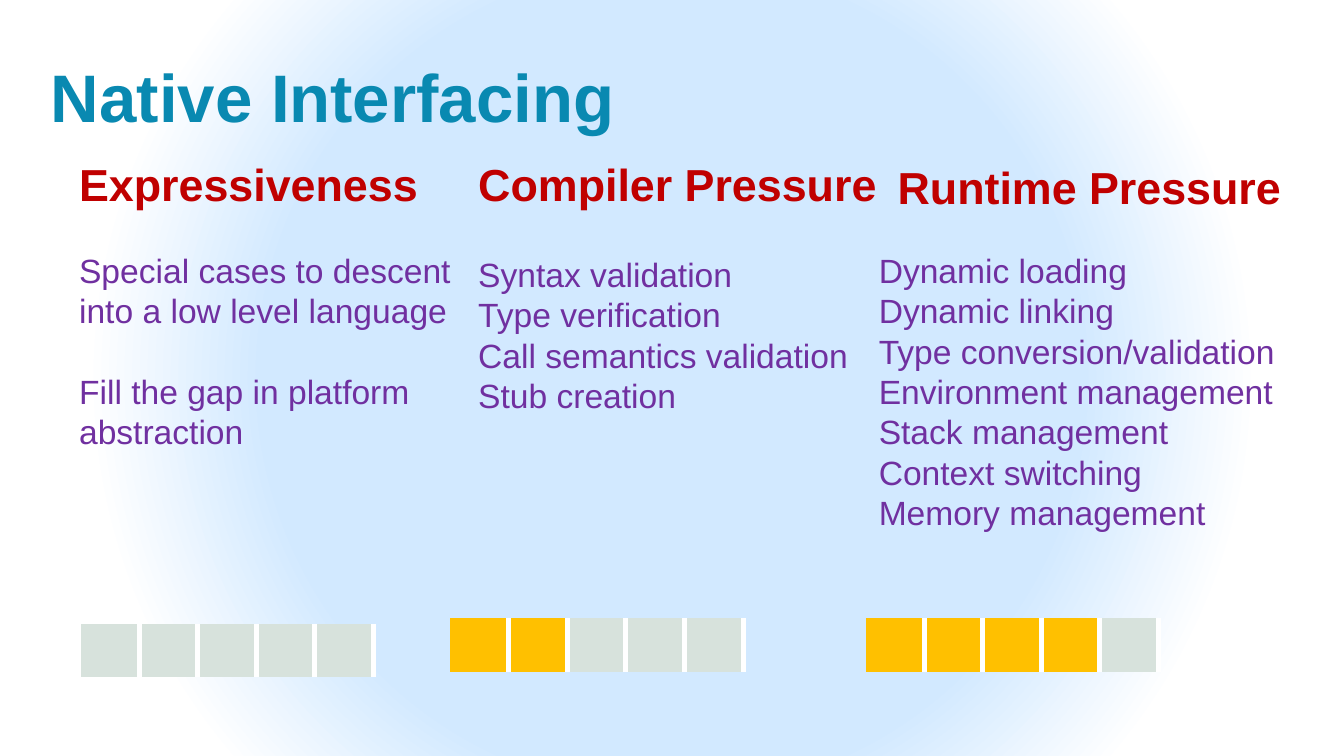
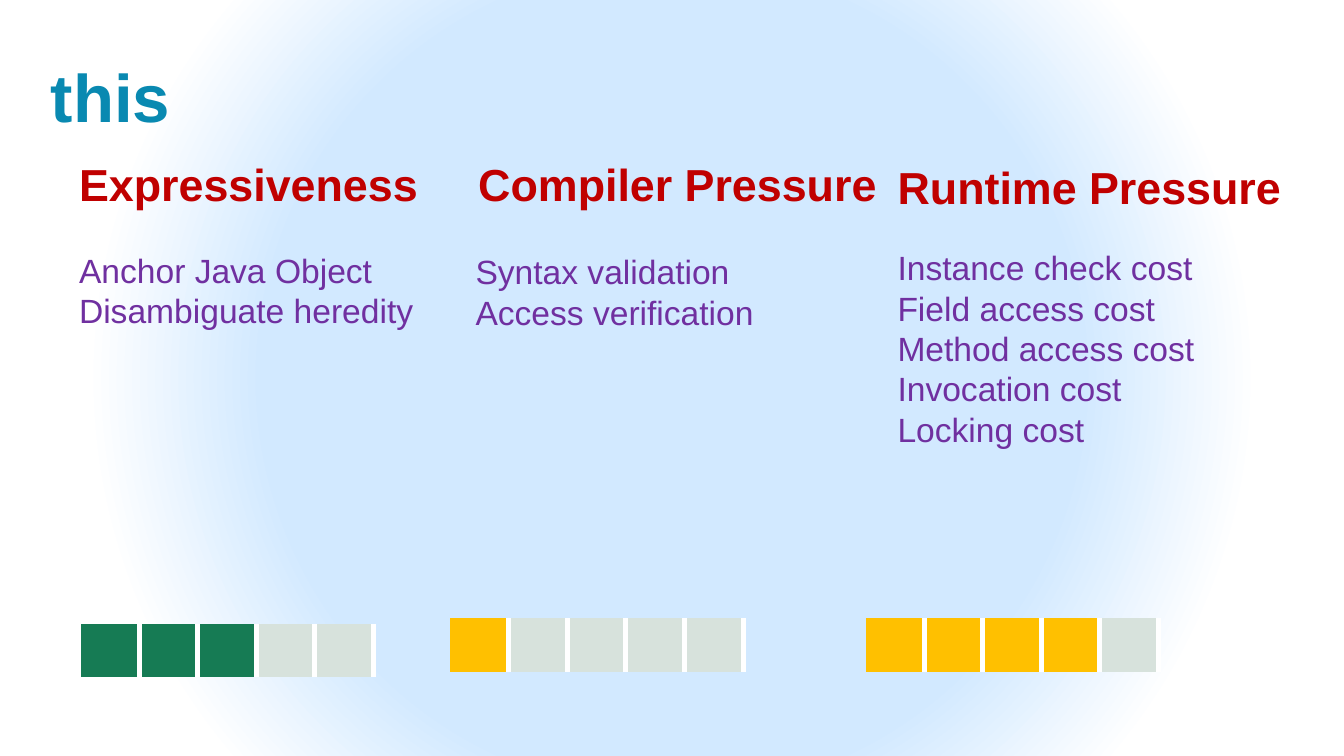
import dataclasses

import lxml.etree
import pptx
import pptx.dml.color
import pptx.enum.text
import pptx.oxml.ns
import pptx.presentation
import pptx.slide
import pptx.table
import pptx.util

Inches = pptx.util.Inches
Pt = pptx.util.Pt
qn = pptx.oxml.ns.qn


@dataclasses.dataclass(frozen=True)
class TextStyle:
    size: float
    color: str
    bold: bool = False


@dataclasses.dataclass(frozen=True)
class Theme:
    font: str = "Arial"
    leading: float = 1.2
    title: TextStyle = TextStyle(36, "0989B1", True)
    heading: TextStyle = TextStyle(24, "C00000", True)
    body: TextStyle = TextStyle(18, "7030A0")
    glow: str = "D2E9FF"
    white: str = "FFFFFF"
    empty: str = "D7E2DC"
    amber: str = "FFC000"
    green: str = "167B54"
    divider: float = 3


THEME = Theme()


@dataclasses.dataclass(frozen=True)
class Box:
    left: float
    top: float
    width: float
    height: float


@dataclasses.dataclass(frozen=True)
class Column:
    """What stays the same for one criterion on every slide."""
    heading: str
    heading_box: Box
    meter_left: float
    meter_top: float
    meter_color: str


@dataclasses.dataclass(frozen=True)
class Rating:
    lines: tuple[str, ...]
    box: Box
    score: int
    gap_before: tuple[int, ...] = ()


@dataclasses.dataclass(frozen=True)
class Feature:
    title: str
    title_width: float
    ratings: tuple[Rating, ...]


SLIDE_WIDTH = 10
SLIDE_HEIGHT = SLIDE_WIDTH * 9 / 16
METER_STEPS = 5
METER_WIDTH = 2.18
METER_HEIGHT = 0.4

COLUMNS = (
    Column("Expressiveness", Box(0.49, 1.12, 2.98, 0.5), 0.6, 4.64, THEME.green),
    Column("Compiler Pressure", Box(3.46, 1.12, 3.21, 0.5), 3.35, 4.6, THEME.amber),
    Column("Runtime Pressure", Box(6.58, 1.14, 3.21, 0.5), 6.44, 4.6, THEME.amber),
)

FEATURES = (
    Feature("Native Interfacing", 4.54, (
        Rating(("Special cases to descent into a low level language",
                "Fill the gap in platform abstraction"),
               Box(0.49, 1.81, 3.02, 1.62), 0, gap_before=(1,)),
        Rating(("Syntax validation", "Type verification",
                "Call semantics validation", "Stub creation"),
               Box(3.46, 1.84, 2.98, 1.31), 2),
        Rating(("Dynamic loading", "Dynamic linking", "Type conversion/validation",
                "Environment management", "Stack management",
                "Context switching", "Memory management"),
               Box(6.44, 1.81, 3.35, 2.22), 4),
    )),
    Feature("this", 1.25, (
        Rating(("Anchor Java Object", "Disambiguate heredity"),
               Box(0.49, 1.81, 3.24, 0.71), 3),
        Rating(("Syntax validation", "Access verification"),
               Box(3.44, 1.82, 2.9, 0.71), 1),
        Rating(("Instance check cost", "Field access cost", "Method access cost",
                "Invocation cost", "Locking cost"),
               Box(6.58, 1.79, 3.16, 1.62), 4),
    )),
)


def rgb(color: str) -> pptx.dml.color.RGBColor:
    return pptx.dml.color.RGBColor.from_string(color)


def add_color(parent: lxml.etree._Element, color: str) -> None:
    lxml.etree.SubElement(parent, qn("a:srgbClr"), val=color)


def paint_background(s: pptx.slide.Slide) -> None:
    """Fill the slide with a round glow that fades to white."""
    s.background.fill.gradient()
    grad = s.element.find(".//" + qn("a:gradFill"))
    for child in list(grad):
        grad.remove(child)
    stops = lxml.etree.SubElement(grad, qn("a:gsLst"))
    for percent, color in ((53, THEME.glow), (76, THEME.white), (100, THEME.white)):
        stop = lxml.etree.SubElement(stops, qn("a:gs"), pos=str(percent * 1000))
        add_color(stop, color)
    circle = lxml.etree.SubElement(grad, qn("a:path"), attrib={"path": "circle"})
    lxml.etree.SubElement(circle, qn("a:fillToRect"),
                          attrib={side: "50000" for side in "ltrb"})


def add_text(s: pptx.slide.Slide, box: Box, lines: tuple[str, ...],
             style: TextStyle, gap_before: tuple[int, ...] = ()) -> None:
    """Write one paragraph per line; gap_before lists those set off by a line."""
    sp = s.shapes.add_textbox(Inches(box.left), Inches(box.top),
                              Inches(box.width), Inches(box.height))
    tf = sp.text_frame
    tf.word_wrap = True
    tf.auto_size = pptx.enum.text.MSO_AUTO_SIZE.SHAPE_TO_FIT_TEXT
    leading = Pt(style.size * THEME.leading)
    for i, line in enumerate(lines):
        p = tf.add_paragraph() if i else tf.paragraphs[0]
        p.line_spacing = leading
        if i in gap_before:
            p.space_before = leading
        r = p.add_run()
        r.text = line
        r.font.name = THEME.font
        r.font.size = Pt(style.size)
        r.font.bold = style.bold
        r.font.color.rgb = rgb(style.color)


def set_borders(cell: pptx.table._Cell, sides: str) -> None:
    """Draw white dividers on the given sides and clear the others."""
    props = cell._tc.get_or_add_tcPr()
    for side in "LRTB":
        line = lxml.etree.SubElement(props, qn(f"a:ln{side}"),
                                     w=str(Pt(THEME.divider)))
        if side in sides:
            add_color(lxml.etree.SubElement(line, qn("a:solidFill")), THEME.white)
        else:
            lxml.etree.SubElement(line, qn("a:noFill"))


def add_meter(s: pptx.slide.Slide, column: Column, score: int) -> None:
    table = s.shapes.add_table(1, METER_STEPS, Inches(column.meter_left),
                               Inches(column.meter_top), Inches(METER_WIDTH),
                               Inches(METER_HEIGHT)).table
    table.first_row = False
    table.horz_banding = False
    for i, cell in enumerate(table.iter_cells()):
        set_borders(cell, "LR" if i else "R")
        cell.fill.solid()
        cell.fill.fore_color.rgb = rgb(column.meter_color if i < score else THEME.empty)


def add_feature(prs: pptx.presentation.Presentation, feature: Feature) -> None:
    s = prs.slides.add_slide(prs.slide_layouts[6])
    paint_background(s)
    add_text(s, Box(0.28, 0.36, feature.title_width, 0.71), (feature.title,), THEME.title)
    for rating in feature.ratings:
        add_text(s, rating.box, rating.lines, THEME.body, rating.gap_before)
    for column in COLUMNS:
        add_text(s, column.heading_box, (column.heading,), THEME.heading)
    for column, rating in zip(COLUMNS, feature.ratings):
        add_meter(s, column, rating.score)


def main() -> None:
    prs = pptx.Presentation()
    prs.slide_width = Inches(SLIDE_WIDTH)
    prs.slide_height = Inches(SLIDE_HEIGHT)
    for feature in FEATURES:
        add_feature(prs, feature)
    prs.save("out.pptx")


if __name__ == "__main__":
    main()
